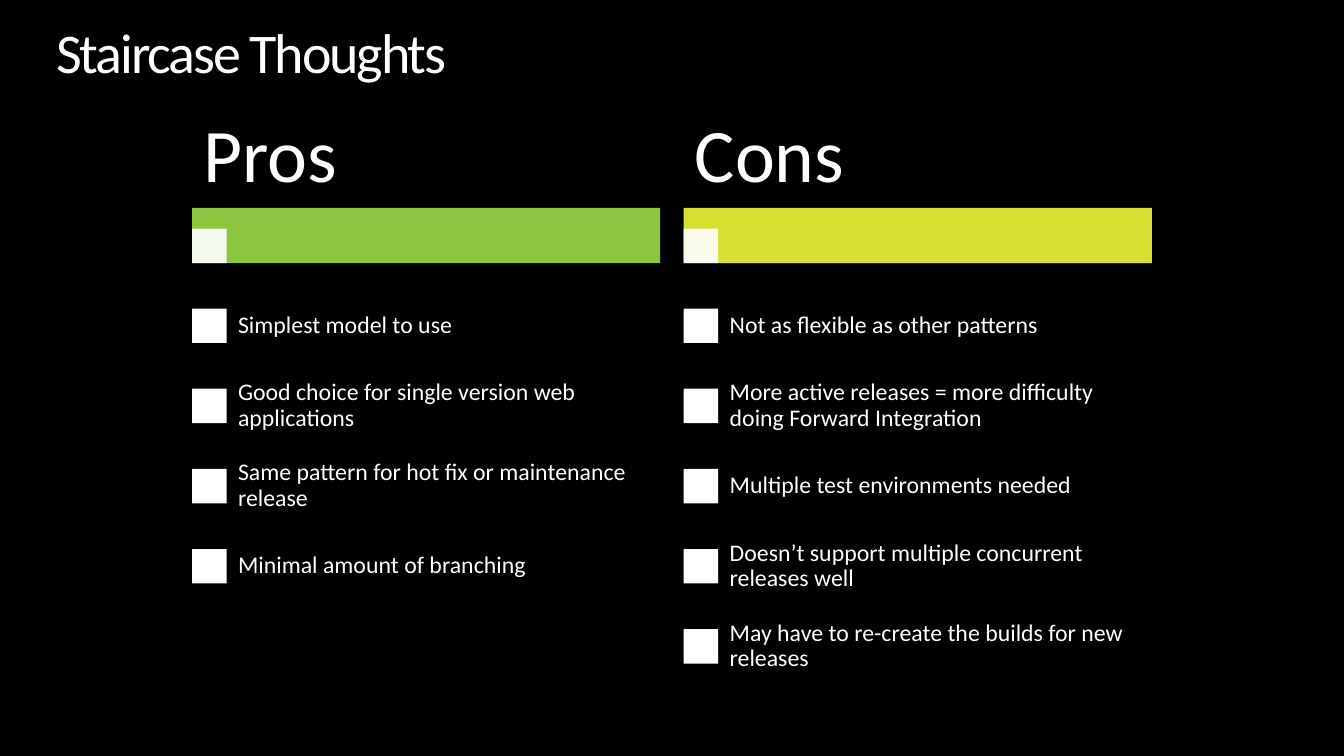
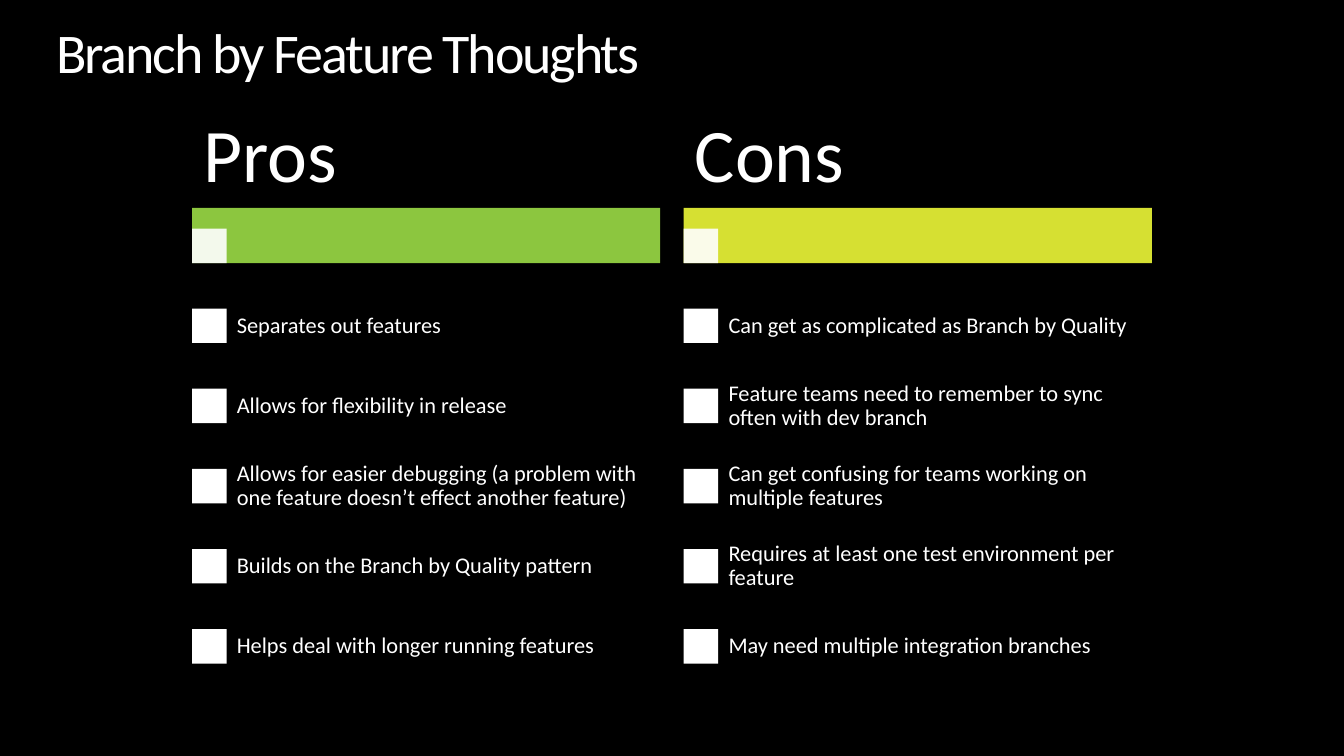
from dataclasses import dataclass

from lxml import etree
from pptx import Presentation
from pptx.dml.color import RGBColor
from pptx.enum.shapes import MSO_SHAPE
from pptx.enum.text import MSO_ANCHOR, MSO_AUTO_SIZE, PP_ALIGN
from pptx.oxml.ns import qn
from pptx.slide import Slide
from pptx.text.text import TextFrame
from pptx.util import Cm, Pt

RECT = MSO_SHAPE.RECTANGLE
TOP, MIDDLE = MSO_ANCHOR.TOP, MSO_ANCHOR.MIDDLE
GROW = MSO_AUTO_SIZE.SHAPE_TO_FIT_TEXT
LEFT = PP_ALIGN.LEFT


@dataclass(frozen=True)
class Theme:
    black: str = "000000"
    white: str = "FFFFFF"
    green: str = "8CC63F"
    lime: str = "D6E032"
    font: str = "Calibri"
    title: int = 40
    head: int = 54
    track: int = -150
    line: float = 0.9


@dataclass(frozen=True)
class Box:
    left: float
    top: float
    width: float
    height: float


@dataclass(frozen=True)
class Column:
    head: str
    color: str
    left: float
    items: tuple[str, ...]


@dataclass(frozen=True)
class Page:
    title: str
    size: int
    inset: float
    pros: tuple[str, ...]
    cons: tuple[str, ...]


THEME = Theme()
PROS_LEFT, CONS_LEFT = 4.84, 17.23
WIDTH = 11.8
HEAD_TOP, HEAD_HIGH = 2.74, 2.5
BAR_TOP, BAR_HIGH = 5.24, 1.39
MARK = 0.87
ROW_TOP, ROW_HIGH = 7.2, 2.02
INDENT = 0.83

PAGES = (
    Page(
        "Staircase Thoughts", 17, 0.33,
        (
            "Simplest model to use",
            "Good choice for single version web applications",
            "Same pattern for hot fix or maintenance release",
            "Minimal amount of branching",
        ),
        (
            "Not as flexible as other patterns",
            "More active releases = more difficulty doing Forward Integration",
            "Multiple test environments needed",
            "Doesn’t support multiple concurrent releases well",
            "May have to re-create the builds for new releases",
        ),
    ),
    Page(
        "Branch by Feature Thoughts", 16, 0.3,
        (
            "Separates out features",
            "Allows for flexibility in release",
            "Allows for easier debugging (a problem with one feature "
            "doesn’t effect another feature)",
            "Builds on the Branch by Quality pattern",
            "Helps deal with longer running features",
        ),
        (
            "Can get as complicated as Branch by Quality",
            "Feature teams need to remember to sync often with dev branch",
            "Can get confusing for teams working on multiple features",
            "Requires at least one test environment per feature",
            "May need multiple integration branches",
        ),
    ),
)


def place(box: Box) -> tuple[Cm, Cm, Cm, Cm]:
    return Cm(box.left), Cm(box.top), Cm(box.width), Cm(box.height)


def write(frame: TextFrame, text: str, size: int, side: float, edge: float) -> None:
    frame.word_wrap = True
    frame.margin_left = frame.margin_right = Cm(side)
    frame.margin_top = frame.margin_bottom = Cm(edge)
    frame.text = text
    para = frame.paragraphs[0]
    para.alignment = LEFT
    para.line_spacing = THEME.line
    font = para.runs[0].font
    font.name = THEME.font
    font.size = Pt(size)
    font.color.rgb = RGBColor.from_string(THEME.white)


def add_text(slide: Slide, box: Box, text: str, size: int,
             side: float, edge: float) -> None:
    frame = slide.shapes.add_textbox(*place(box)).text_frame
    write(frame, text, size, side, edge)
    frame.vertical_anchor = MIDDLE


def add_rect(slide: Slide, box: Box, color: str, alpha: int = 100) -> None:
    shape = slide.shapes.add_shape(RECT, *place(box))
    shape.shadow.inherit = False
    shape.line.fill.background()
    shape.fill.solid()
    shape.fill.fore_color.rgb = RGBColor.from_string(color)
    if alpha < 100:
        tint = next(shape.fill._xPr.iter(qn("a:srgbClr")))
        etree.SubElement(tint, qn("a:alpha")).set("val", str(alpha * 1000))


def add_title(slide: Slide, text: str) -> None:
    title = slide.shapes.title
    title.left, title.top, title.width, title.height = place(
        Box(1.42, 0.64, 31.04, 1.55))
    frame = title.text_frame
    write(frame, text, THEME.title, 0, 0)
    frame.vertical_anchor = TOP
    frame.auto_size = GROW
    run = frame.paragraphs[0].runs[0]
    run.font._element.set("spc", str(THEME.track))


def add_column(slide: Slide, col: Column, size: int, inset: float) -> None:
    add_rect(slide, Box(col.left, BAR_TOP, WIDTH, BAR_HIGH), col.color)
    add_rect(slide, Box(col.left, BAR_TOP + BAR_HIGH - MARK, MARK, MARK),
             THEME.white, 90)
    add_text(slide, Box(col.left, HEAD_TOP, WIDTH, HEAD_HIGH),
             col.head, THEME.head, 0.28, 0.18)
    for row, item in enumerate(col.items):
        top = ROW_TOP + row * ROW_HIGH
        add_rect(slide, Box(col.left, top + (ROW_HIGH - MARK) / 2, MARK, MARK),
                 THEME.white)
        add_text(slide, Box(col.left + INDENT, top, WIDTH - INDENT, ROW_HIGH),
                 item, size, inset, inset)


def main() -> None:
    deck = Presentation()
    deck.slide_width, deck.slide_height = Cm(33.87), Cm(19.05)
    back = deck.slide_master.background.fill
    back.solid()
    back.fore_color.rgb = RGBColor.from_string(THEME.black)
    layout = deck.slide_layouts.get_by_name("Title Only")
    for page in PAGES:
        slide = deck.slides.add_slide(layout)
        add_title(slide, page.title)
        for col in (
            Column("Pros", THEME.green, PROS_LEFT, page.pros),
            Column("Cons", THEME.lime, CONS_LEFT, page.cons),
        ):
            add_column(slide, col, page.size, page.inset)
    deck.save("out.pptx")


if __name__ == "__main__":
    main()
